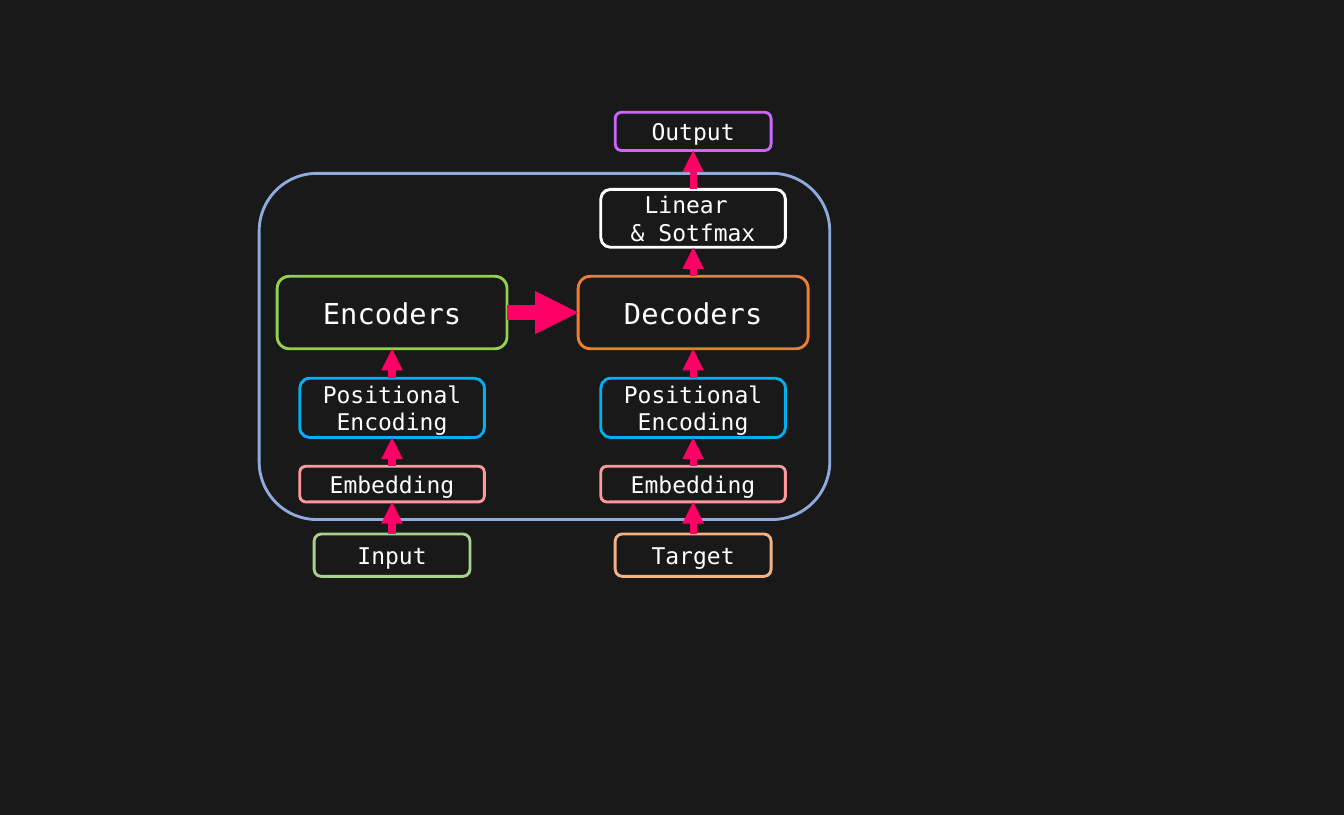
import pptx
import pptx.util
import pptx.dml.color
import pptx.enum.shapes
import pptx.enum.text
import pptx.oxml
import pptx.oxml.ns
from collections import namedtuple

Pt = pptx.util.Pt
RGBColor = pptx.dml.color.RGBColor

BACKGROUND = RGBColor(0x19, 0x19, 0x19)
WHITE = RGBColor(0xFF, 0xFF, 0xFF)
FRAME_BLUE = RGBColor(0x8F, 0xAA, 0xDC)
ARROW_PINK = RGBColor(0xFF, 0x00, 0x66)
ENCODER_GREEN = RGBColor(0x92, 0xD0, 0x50)
DECODER_ORANGE = RGBColor(0xED, 0x7D, 0x31)
POSITION_BLUE = RGBColor(0x00, 0xB0, 0xF0)
EMBEDDING_PINK = RGBColor(0xFF, 0x99, 0x99)
INPUT_GREEN = RGBColor(0xA9, 0xD1, 0x8E)
TARGET_PEACH = RGBColor(0xF4, 0xB1, 0x83)
OUTPUT_PURPLE = RGBColor(0xCC, 0x66, 0xFF)

FONT = "DejaVu Sans Mono"
TOP, LEFT, BOTTOM, RIGHT = range(4)

# Layer tops are measured from the top of the model frame.
Layer = namedtuple("Layer", "lines top width height color size")

EMBEDDING = Layer(["Embedding"], 407.5, 257, 49.7, EMBEDDING_PINK, 32)
POSITION = Layer(["Positional Encoding"], 285.1, 257, 82.5, POSITION_BLUE, 32)
ENCODER_STACK = [
    Layer(["Input"], 501.8, 217, 59, INPUT_GREEN, 32),
    EMBEDDING,
    POSITION,
    Layer(["Encoders"], 143.3, 320, 100.8, ENCODER_GREEN, 40),
]
DECODER_STACK = [
    Layer(["Target"], 501.8, 217, 59, TARGET_PEACH, 32),
    EMBEDDING,
    POSITION,
    Layer(["Decoders"], 143.3, 320, 100.8, DECODER_ORANGE, 40),
    Layer(["Linear ", "& Sotfmax"], 22.3, 257, 80.6, WHITE, 32),
    Layer(["Output"], -85, 217, 53.3, OUTPUT_PURPLE, 32),
]


def add_outline(page, left, top, width, height, color):
    """Add an unfilled rounded rectangle."""
    box = page.shapes.add_shape(
        pptx.enum.shapes.MSO_SHAPE.ROUNDED_RECTANGLE,
        Pt(left), Pt(top), Pt(width), Pt(height))
    box.shadow.inherit = False
    box.fill.background()
    box.line.color.rgb = color
    box.line.width = Pt(4)
    return box


def add_layer(page, center, frame_top, layer):
    box = add_outline(page, center - layer.width / 2, frame_top + layer.top,
                      layer.width, layer.height, layer.color)
    frame = box.text_frame
    frame.word_wrap = True
    frame.vertical_anchor = pptx.enum.text.MSO_ANCHOR.MIDDLE
    for index, line in enumerate(layer.lines):
        para = frame.add_paragraph() if index else frame.paragraphs[0]
        para.alignment = pptx.enum.text.PP_ALIGN.CENTER
        span = para.add_run()
        span.text = line
        span.font.name = FONT
        span.font.size = Pt(layer.size)
        span.font.color.rgb = WHITE
    return box


def add_arrow(page, source, source_side, target, target_side, width):
    arrow = page.shapes.add_connector(
        pptx.enum.shapes.MSO_CONNECTOR.STRAIGHT, 0, 0, 0, 0)
    arrow.begin_connect(source, source_side)
    arrow.end_connect(target, target_side)
    arrow.line.color.rgb = ARROW_PINK
    arrow.line.width = Pt(width)
    properties = arrow.element.spPr
    head = pptx.oxml.parse_xml(
        f'<a:tailEnd {pptx.oxml.ns.nsdecls("a")} type="triangle"/>')
    arrow.line._get_or_add_ln().append(head)
    properties.append(pptx.oxml.parse_xml(
        f'<a:effectLst {pptx.oxml.ns.nsdecls("a")}/>'))


def add_stack(page, center, frame_top, layers):
    """Add layers from bottom to top, joined by upward arrows."""
    boxes = [add_layer(page, center, frame_top, layer) for layer in layers]
    for lower, upper in zip(boxes, boxes[1:]):
        add_arrow(page, lower, TOP, upper, BOTTOM, 10)
    return boxes


def add_transformer(page, left, top, width, height):
    add_outline(page, left, top, width, height, FRAME_BLUE)
    encoder = add_stack(page, left + 185, top, ENCODER_STACK)[3]
    decoder = add_stack(page, left + 604, top, DECODER_STACK)[3]
    add_arrow(page, encoder, RIGHT, decoder, LEFT, 20)


def main():
    deck = pptx.Presentation()
    deck.slide_width = Pt(1870.56)
    deck.slide_height = Pt(1134)
    page = deck.slides.add_slide(deck.slide_layouts[6])
    page.background.fill.solid()
    page.background.fill.fore_color.rgb = BACKGROUND
    add_transformer(page, 360.7, 241.2, 794.2, 481.7)
    deck.save("out.pptx")


if __name__ == "__main__":
    main()
